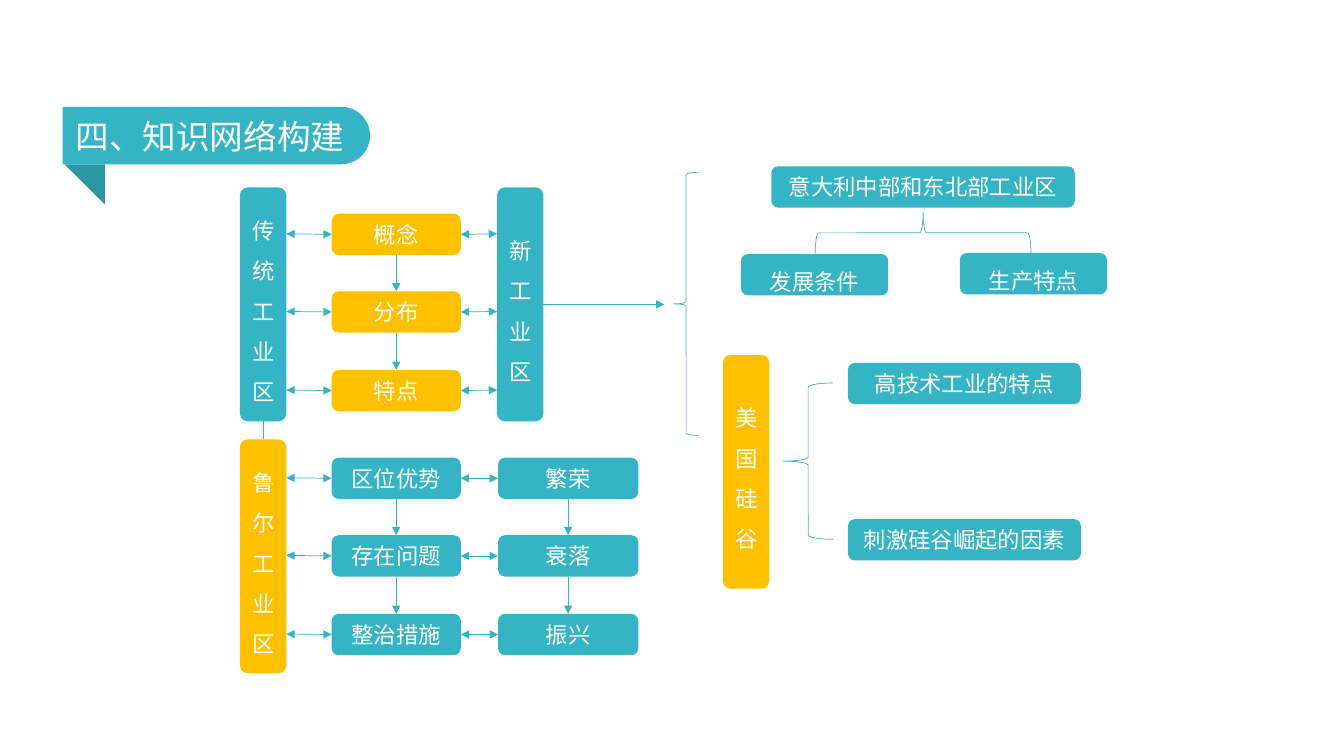
from dataclasses import dataclass

from lxml.etree import SubElement
from pptx import Presentation
from pptx.dml.color import RGBColor
from pptx.enum.shapes import MSO_CONNECTOR, MSO_SHAPE
from pptx.enum.text import MSO_ANCHOR, PP_ALIGN
from pptx.oxml.ns import qn
from pptx.util import Pt

PX = 9144  # EMU per px, 100 px to the inch
TOP, LEFT, BOTTOM, RIGHT = range(4)


@dataclass(frozen=True)
class Theme:
    teal: RGBColor = RGBColor(0x35, 0xB4, 0xC6)
    dark: RGBColor = RGBColor(0x2C, 0x96, 0xA4)
    gold: RGBColor = RGBColor(0xFF, 0xC0, 0x00)
    white: RGBColor = RGBColor(0xFF, 0xFF, 0xFF)
    font: str = "Noto Sans CJK SC"
    title: Pt = Pt(24)
    label: Pt = Pt(16)
    line: Pt = Pt(0.5)


T = Theme()
BOX_H = 41
TALL_W, TALL_H = 46, 232


def px(*lengths):
    return [round(n * PX) for n in lengths]


# Basic parts
def write(tf, text, size, align=PP_ALIGN.LEFT, spacing=None):
    p = tf.paragraphs[0]
    p.text = text
    p.alignment = align
    p.line_spacing = spacing
    p.font.size = size
    p.font.name = T.font
    p.font.color.rgb = T.white
    SubElement(p._p.pPr.find(qn("a:defRPr")), qn("a:ea"), typeface=T.font)


def solid(slide, kind, x, y, w, h, color, rotation=0):
    sp = slide.shapes.add_shape(kind, *px(x, y, w, h))
    sp.shadow.inherit = False
    sp.fill.solid()
    sp.fill.fore_color.rgb = color
    sp.line.fill.background()
    sp.rotation = rotation
    return sp


def box(slide, text, x, y, w, h=BOX_H, color=T.teal, spacing=None):
    sp = solid(slide, MSO_SHAPE.ROUNDED_RECTANGLE, x, y, w, h, color)
    tf = sp.text_frame
    tf.word_wrap = True
    tf.vertical_anchor = MSO_ANCHOR.MIDDLE
    write(tf, text, T.label, PP_ALIGN.CENTER, spacing)
    return sp


def tall_box(slide, text, x, y, color=T.teal):
    return box(slide, text, x, y, TALL_W, TALL_H, color, 1.5)


def brace(slide, x, y, w, h, rotation=0):
    sp = slide.shapes.add_shape(MSO_SHAPE.LEFT_BRACE, *px(x, y, w, h))
    sp.shadow.inherit = False
    sp.fill.background()
    sp.line.color.rgb = T.teal
    sp.line.width = T.line
    sp.rotation = rotation


def link(slide, start, end, heads=("tailEnd",)):
    """Join two ends, each a (shape, side) pair or an (x, y) point."""
    cxn = slide.shapes.add_connector(MSO_CONNECTOR.STRAIGHT, 0, 0, 0, 0)
    if isinstance(start[0], int):
        cxn.begin_x, cxn.begin_y = px(*start)
    else:
        cxn.begin_connect(*start)
    if isinstance(end[0], int):
        cxn.end_x, cxn.end_y = px(*end)
    else:
        cxn.end_connect(*end)
    cxn.line.color.rgb = T.teal
    cxn.line.width = T.line
    ln = cxn.line._get_or_add_ln()
    for head in heads:
        SubElement(ln, qn(f"a:{head}"), type="triangle")
    SubElement(cxn._element.spPr, qn("a:effectLst"))


def double_link(slide, start, end):
    link(slide, start, end, ("headEnd", "tailEnd"))


# Title ribbon with its folded corner
def banner(slide, text, x, y):
    w, h = 305, 57
    solid(slide, MSO_SHAPE.RIGHT_TRIANGLE, x + 2, y + h, 40, 40, T.dark, 180)
    ribbon = solid(slide, MSO_SHAPE.ROUND_2_SAME_RECTANGLE,
                   x + (w - h) / 2, y - (w - h) / 2, h, w, T.teal, 90)
    ribbon.adjustments[0] = 0.5
    tb = slide.shapes.add_textbox(*px(x + 3, y + 4, 289, 50))
    tb.text_frame.word_wrap = False
    write(tb.text_frame, text, T.title)


# Column of three boxes joined by downward arrows
def column(slide, labels, x, y, w, color=T.teal):
    boxes = [box(slide, label, x, y + i * 155 // 2, w, color=color)
             for i, label in enumerate(labels)]
    for upper, lower in zip(boxes, boxes[1:]):
        link(slide, (upper, BOTTOM), (lower, TOP))
    return boxes


def link_to_edge(slide, boxes, side, edge_x):
    for sp in boxes:
        middle = (sp.top + sp.height // 2) // PX
        double_link(slide, (sp, side), (edge_x, middle))


# Traditional and new industrial areas compared
def comparison(slide, x, y):
    old = tall_box(slide, "传统工业区", x, y)
    new = tall_box(slide, "新工业区", x + 255, y)
    topics = column(slide, ["概念", "分布", "特点"], x + 91, y + 26, 128, T.gold)
    link_to_edge(slide, topics, LEFT, x + TALL_W)
    link_to_edge(slide, topics, RIGHT, x + 255)
    link(slide, (new, RIGHT), (x + 421, y + TALL_H // 2))
    return old


# Ruhr area: topics and the stages beside them
def ruhr(slide, x, y):
    area = tall_box(slide, "鲁尔工业区", x, y, T.gold)
    topics = column(slide, ["区位优势", "存在问题", "整治措施"], x + 91, y + 18, 128)
    stages = column(slide, ["繁荣", "衰落", "振兴"], x + 256, y + 18, 139)
    link_to_edge(slide, topics, LEFT, x + TALL_W)
    for topic, stage in zip(topics, stages):
        double_link(slide, (topic, RIGHT), (stage, LEFT))
    return area


# Italian area with its two branches
def italy(slide, x, y):
    box(slide, "意大利中部和东北部工业区", x + 30, y, 301)
    brace(slide, x + 160, y - 41, 41, 214, 90)
    for i, label in enumerate(["发展条件", "生产特点"]):
        box(slide, label, x + i * 217, y + 87 - i, 146, spacing=1.5)


# Silicon Valley with its two branches
def valley(slide, x, y):
    tall_box(slide, "美国硅谷", x, y, T.gold)
    brace(slide, x + 60, y + 28, 49, 155)
    for i, label in enumerate(["高技术工业的特点", "刺激硅谷崛起的因素"]):
        box(slide, label, x + 124, y + 8 + i * 155, 231)


def main():
    prs = Presentation()
    prs.slide_width, prs.slide_height = px(1333, 750)
    slide = prs.slides.add_slide(prs.slide_layouts[6])
    banner(slide, "四、知识网络构建", 62, 106)
    old = comparison(slide, 238, 186)
    area = ruhr(slide, 238, 436)
    link(slide, (area, TOP), (old, BOTTOM), heads=())
    brace(slide, 668, 171, 25, 261)
    italy(slide, 735, 165)
    valley(slide, 717, 352)
    prs.save("out.pptx")


if __name__ == "__main__":
    main()
